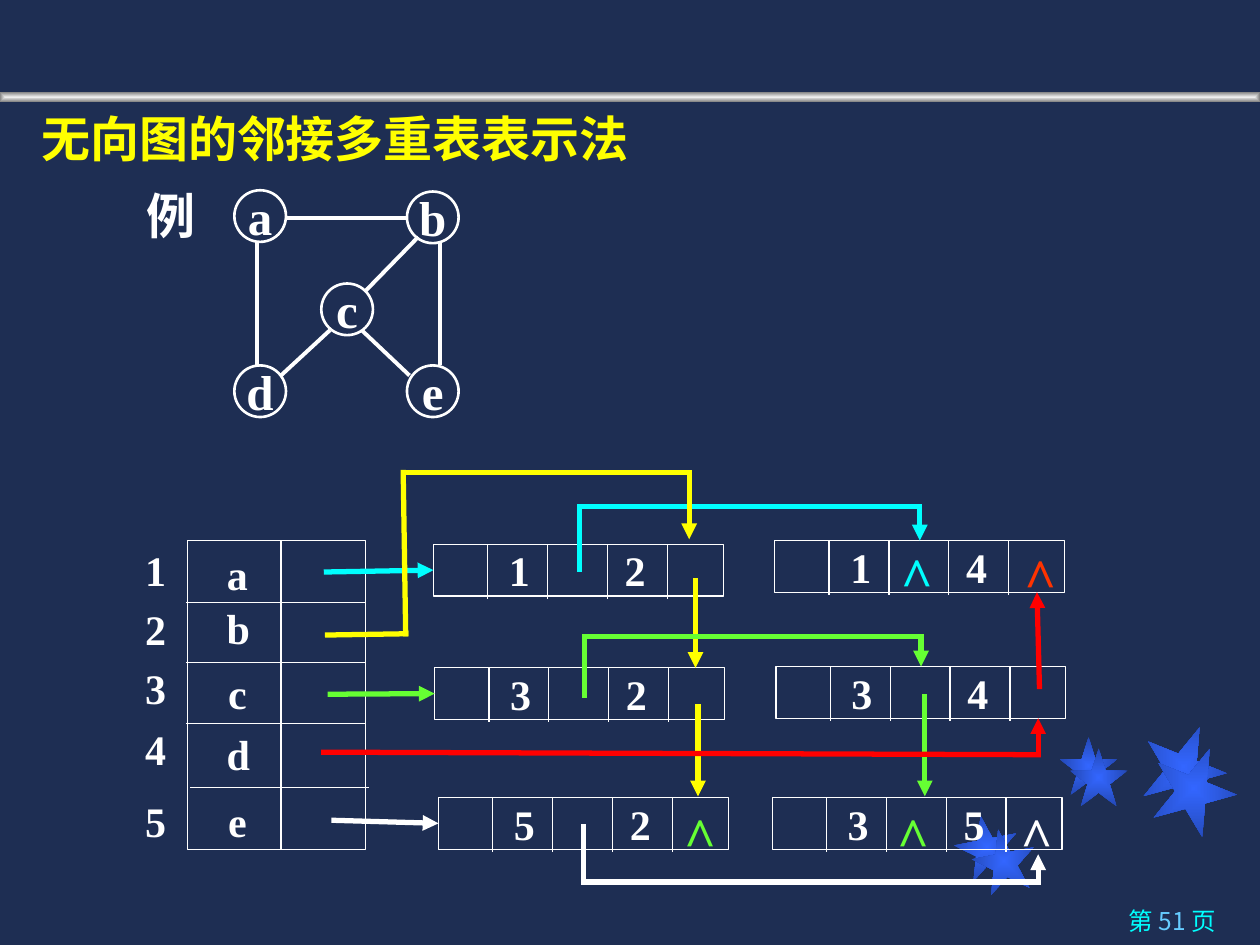
from lxml.etree import SubElement
from pptx import Presentation
from pptx.dml.color import RGBColor
from pptx.enum.shapes import MSO_CONNECTOR, MSO_SHAPE
from pptx.enum.text import MSO_ANCHOR, PP_ALIGN
from pptx.oxml import parse_xml
from pptx.oxml.ns import nsdecls, qn
from pptx.util import Inches, Pt

HUES = {"back": "1E2E53", "white": "FFFFFF", "cyan": "00FFFF", "sky": "66CCFF",
        "yellow": "FFFF00", "green": "66FF33", "red": "FF0000", "rust": "FF3300",
        "blue": "3366FF", "navy": "2449B6", "pale": "EDEDED", "gray": "808080"}
SERIF, SANS, HAN = "Times New Roman", "Arial", "Noto Sans CJK SC"

# Background stars: left, top, size, turn
STARS = [(7.58, 6.47, 0.5, 349), (8.41, 5.85, 0.46, 0), (9.06, 5.75, 0.67, 22),
         (7.72, 6.58, 0.5, 349), (8.49, 5.94, 0.46, 0), (9.14, 5.92, 0.67, 22)]

# Graph: vertices by left and top, edges by end points
NODES = {"a": (1.86, 1.51), "e": (3.23, 2.9), "c": (2.55, 2.25),
         "b": (3.23, 1.52), "d": (1.86, 2.9)}
EDGES = [(2.27, 1.73, 3.24, 1.73), (2.04, 1.92, 2.04, 2.9),
         (3.49, 1.92, 3.49, 2.9), (2.87, 2.62, 3.25, 2.98),
         (3.32, 1.88, 2.9, 2.31), (2.62, 2.62, 2.23, 2.98)]

# Vertex table: index and its top, letter and its top
ROWS = [("1", 4.27, "a", 4.3), ("2", 4.74, "b", 4.73), ("3", 5.21, "c", 5.25),
        ("4", 5.69, "d", 5.73), ("5", 6.26, "e", 6.26)]
RULES = [(1.48, 4.78), (1.48, 5.26), (1.48, 5.74), (1.51, 6.25)]

# Edge cells: name -> left, top, two vertex numbers
CELLS = {"ab": (3.44, 4.32, "1", "2"), "ad": (6.15, 4.29, "1", "4"),
         "cd": (6.16, 5.29, "3", "4"), "cb": (3.45, 5.3, "3", "2"),
         "ce": (6.13, 6.33, "3", "5"), "eb": (3.48, 6.33, "5", "2")}

# Pointers: hue, corner points, and the cell side joined, if any
LINKS = [
    ("cyan", [(2.57, 4.54), (3.44, 4.53)], ("ab", 1)),
    ("green", [(2.6, 5.51), (3.45, 5.51)], ("cb", 1)),
    ("white", [(2.63, 6.51), (3.48, 6.53)], ("eb", 1)),
    ("cyan", [(4.6, 4.52), (4.6, 4.02), (7.3, 4.02), (7.3, 4.29)], ("ad", 0)),
    ("yellow", [(2.6, 5.04), (3.22, 5.03), (3.2, 3.75), (5.47, 3.75), (5.47, 4.28)], None),
    ("yellow", [(5.52, 4.59), (5.52, 5.3)], None),
    ("yellow", [(5.54, 5.59), (5.54, 6.32)], None),
    ("green", [(4.64, 5.52), (4.64, 5.05), (7.31, 5.05), (7.31, 5.29)], ("cd", 0)),
    ("green", [(7.34, 5.51), (7.34, 6.32)], None),
    ("red", [(2.57, 5.97), (8.24, 5.99), (8.24, 5.7)], None),
    ("red", [(8.25, 5.47), (8.23, 4.7)], None),
    ("white", [(4.63, 6.56), (4.63, 7), (8.24, 7), (8.24, 6.78)], None),
]

# Null marks: left, top, hue
NULLS = [(7.05, 4.25, "cyan"), (7.02, 6.31, "green"), (8.03, 4.26, "rust"),
         (8, 6.31, "white"), (5.33, 6.31, "green")]

deck = Presentation()
deck.slide_width, deck.slide_height = Inches(10), Inches(7.5)
slide = deck.slides.add_slide(deck.slide_layouts[6])
slide.background.fill.solid()
slide.background.fill.fore_color.rgb = RGBColor.from_string(HUES["back"])
parts = slide.shapes


def write(shape, runs, size, font=SERIF, bold=True, align=PP_ALIGN.CENTER,
          anchor=MSO_ANCHOR.MIDDLE, wrap=False):
    frame = shape.text_frame
    frame.word_wrap, frame.vertical_anchor = wrap, anchor
    para = frame.paragraphs[0]
    para.alignment = align
    for text, hue in runs:
        run = para.add_run()
        run.text = text
        run.font.size, run.font.bold, run.font.name = Pt(size), bold, font
        run.font.color.rgb = RGBColor.from_string(HUES[hue])
        SubElement(run.font._element, qn("a:ea")).set("typeface", HAN)
    return para


def label(x, y, w, h, runs, size, **style):
    box = parts.add_textbox(Inches(x), Inches(y), Inches(w), Inches(h))
    return write(box, runs, size, **style)


def shape(kind, x, y, w, h, width=None):
    item = parts.add_shape(kind, Inches(x), Inches(y), Inches(w), Inches(h))
    item.shadow.inherit = False
    item.fill.background()
    if width:
        item.line.color.rgb = RGBColor.from_string(HUES["white"])
        item.line.width = Pt(width)
    else:
        item.line.fill.background()
    return item


def glow(item, inner, outer):
    props = item._element.spPr
    props.replace(props.find(qn("a:noFill")), parse_xml(
        f'<a:gradFill {nsdecls("a")} rotWithShape="1"><a:gsLst>'
        f'<a:gs pos="0"><a:srgbClr val="{HUES[inner]}"/></a:gs>'
        f'<a:gs pos="100000"><a:srgbClr val="{HUES[outer]}"/></a:gs></a:gsLst>'
        '<a:path path="shape"><a:fillToRect l="50000" t="50000" r="50000" b="50000"/>'
        '</a:path></a:gradFill>'))


def line(x1, y1, x2, y2, width, hue="white"):
    item = parts.add_connector(MSO_CONNECTOR.STRAIGHT, Inches(x1), Inches(y1),
                               Inches(x2), Inches(y2))
    item.line.color.rgb = RGBColor.from_string(HUES[hue])
    item.line.width = Pt(width)
    SubElement(item._element.spPr, qn("a:effectLst"))
    return item


# Backdrop
for x, y, size, turn in STARS:
    star = shape(MSO_SHAPE.STAR_5_POINT, x, y, size, size)
    star.rotation = turn
    glow(star, "blue", "navy")
glow(shape(MSO_SHAPE.RECTANGLE, 0, 0.73, 10, 0.08), "pale", "gray")

# Page number and title
label(7.12, 7.14, 2.63, 0.36, [("第 ", "cyan"), ("51 ", "sky"), ("页", "cyan")], 14,
      font=HAN, bold=False, align=PP_ALIGN.RIGHT, anchor=MSO_ANCHOR.TOP, wrap=True)
title = label(0.23, 0.9, 9.5, 0.54, [("无向图的邻接多重表表示法", "yellow")], 28, font=SANS,
              align=PP_ALIGN.LEFT, anchor=MSO_ANCHOR.TOP, wrap=True)
title.line_spacing = 0.8

# Graph
label(1.04, 1.39, 0.64, 0.63, [("例", "white")], 28)
for name, (x, y) in NODES.items():
    write(shape(MSO_SHAPE.OVAL, x, y, 0.41, 0.41, 1.5), [(name, "white")], 28)
for edge in EDGES:
    line(*edge, 2.25)

# Vertex table
shape(MSO_SHAPE.RECTANGLE, 1.49, 4.29, 1.41, 2.45, 0.75)
for x, y in RULES:
    line(x, y, x + 1.42, y, 0.75)
line(2.23, 4.29, 2.23, 6.74, 0.75)
for num, top, name, high in ROWS:
    label(1.05, top, 0.37, 0.5, [(num, "white")], 24)
    label(1.7, high, 0.37, 0.5, [(name, "white")], 24)

# Edge cells with four dividers each
boxes = {}
for name, (x, y, one, two) in CELLS.items():
    box = boxes[name] = shape(MSO_SHAPE.RECTANGLE, x, y, 2.3, 0.41, 0.75)
    para = write(box, [(f"\t{one}\t{two}", "white")], 24, align=PP_ALIGN.LEFT, wrap=True)
    tabs = SubElement(para._p.get_or_add_pPr(), qn("a:tabLst"))
    for stop in (0.5, 1.42):
        SubElement(tabs, qn("a:tab"), pos=str(Inches(stop)), algn="l")
    for i in range(4):
        mid = x + 0.43 + 0.475 * i
        line(mid, y, mid, y + 0.43, 0.75)

# Pointers, square caps close the corners
for hue, points, join in LINKS:
    for start, end in zip(points, points[1:]):
        link = line(*start, *end, 3, hue)
        if end != points[-1]:
            link.line._get_or_add_ln().set("cap", "sq")
    SubElement(link.line._get_or_add_ln(), qn("a:tailEnd"), type="triangle")
    if join:
        link.end_connect(boxes[join[0]], join[1])

# Null marks
for x, y, hue in NULLS:
    label(x, y, 0.46, 0.63, [("^", hue)], 32, align=PP_ALIGN.LEFT, anchor=MSO_ANCHOR.TOP)

deck.save("out.pptx")
